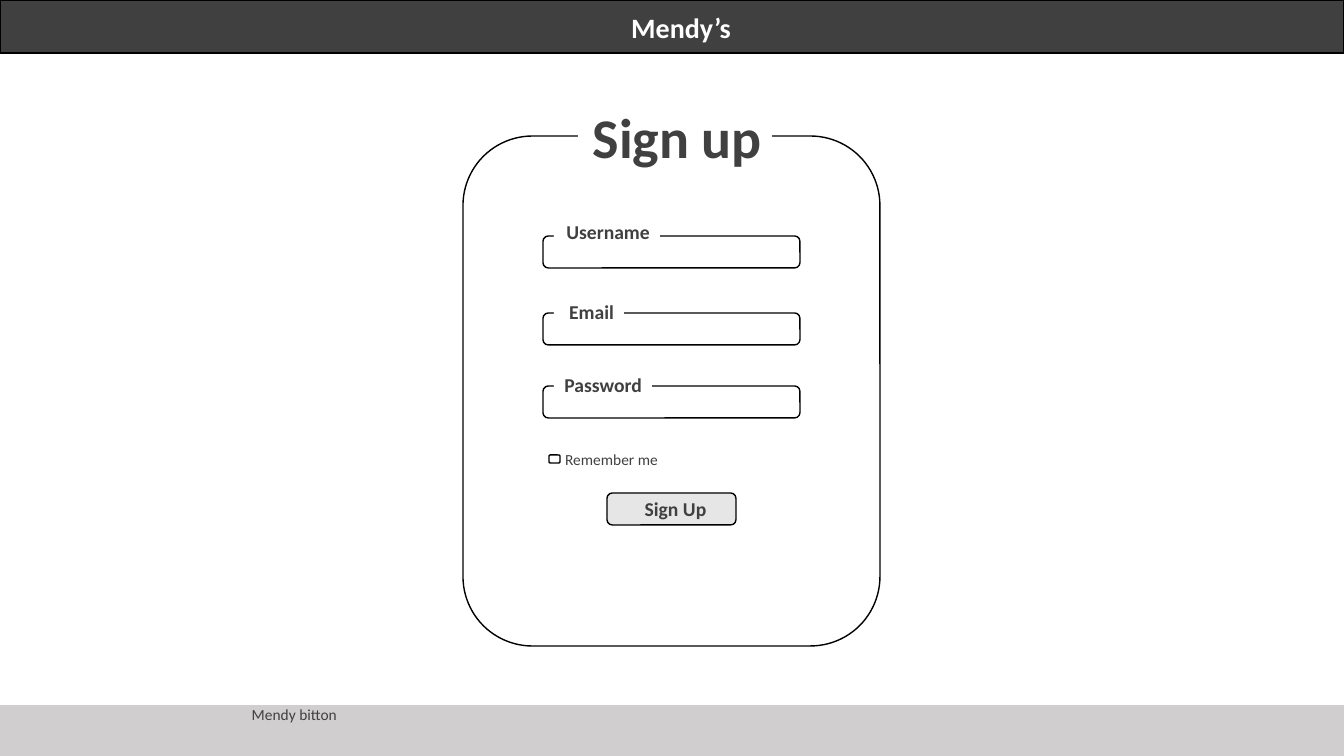
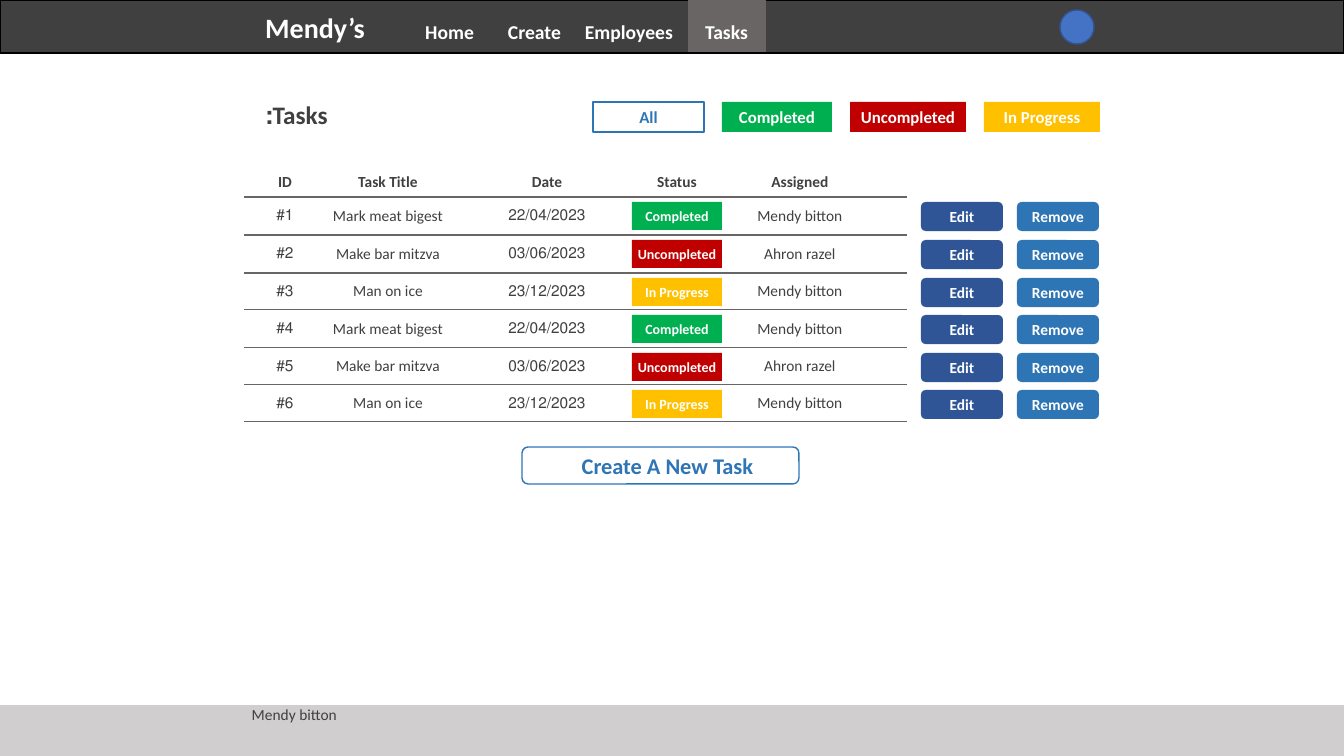
from typing import NamedTuple

from lxml.etree import SubElement
from pptx import Presentation
from pptx.dml.color import RGBColor
from pptx.enum.shapes import MSO_SHAPE
from pptx.enum.text import MSO_ANCHOR, MSO_AUTO_SIZE, PP_ALIGN
from pptx.oxml.ns import qn
from pptx.util import Emu, Pt

SCALE = 914400 / 100.8
FONT = "Calibri"
WHITE = RGBColor(0xFF, 0xFF, 0xFF)
BLACK = RGBColor(0x00, 0x00, 0x00)
CHARCOAL = RGBColor(0x40, 0x40, 0x40)
WARM_GREY = RGBColor(0x69, 0x65, 0x65)
FOOTER_GREY = RGBColor(0xD0, 0xCE, 0xCE)
BUTTON_GREY = RGBColor(0xE7, 0xE6, 0xE6)
BLUE = RGBColor(0x2E, 0x75, 0xB6)
DARK_BLUE = RGBColor(0x2F, 0x55, 0x97)
AVATAR_BLUE = RGBColor(0x44, 0x72, 0xC4)
AVATAR_EDGE = RGBColor(0x32, 0x54, 0x91)
GREEN = RGBColor(0x00, 0xB0, 0x50)
RED = RGBColor(0xC0, 0x00, 0x00)
AMBER = RGBColor(0xFF, 0xC0, 0x00)

STATUS_COLORS = {"Completed": GREEN, "Uncompleted": RED, "In Progress": AMBER}
BRAND = {"size": Pt(20), "color": WHITE, "bold": True}
NAVIGATION = {"size": Pt(14), "color": WHITE, "bold": True}
FORM_TITLE = {"size": Pt(40), "color": CHARCOAL, "bold": True}
FORM_LABEL = {"size": Pt(14), "color": CHARCOAL, "bold": True}
LIST_TITLE = {"size": Pt(18), "color": CHARCOAL, "bold": True}
BODY = {"size": Pt(11), "color": CHARCOAL, "bold": False}
COLUMN_HEAD = {"size": Pt(11), "color": CHARCOAL, "bold": True}
ACTION = {"size": Pt(11), "color": WHITE, "bold": True}
BADGE = {"size": Pt(10), "color": WHITE, "bold": True}
FILTER = {"size": Pt(12), "color": WHITE, "bold": True}
CREATE = {"size": Pt(16), "color": BLUE, "bold": True}

FIELDS = [("Username", 100, -21, 106), ("Email", 177, -18, 70), ("Password", 250, -18, 98)]
MENU = [("Home", 413, 71), ("Create", 492, 79), ("Employees", 567, 116), ("Tasks", 665, 93)]
FILTERS = [("All", 111), ("Completed", 110), ("Uncompleted", 116), ("In Progress", 116)]
COLUMNS = [("ID", 82, 0, 0), ("Task Title", 124, 0, 0), ("Date", 182, 12, 0),
           ("Status", 90, 0, 0), ("Assigned", 185, 0, 29)]
TASKS = [("Mark meat bigest", "22/04/2023", "Completed", "Mendy bitton"),
         ("Make bar mitzva", "03/06/2023", "Uncompleted", "Ahron razel"),
         ("Man on ice", "23/12/2023", "In Progress", "Mendy bitton")] * 2
ROW_HEIGHTS = [30, 38, 38, 37, 38, 37, 37]
STATUS_COLUMN = 3


class Box(NamedTuple):
    """Area in pixels."""
    left: int
    top: int
    width: int
    height: int

    def inside(self, left, top, width, height):
        """Return a box whose corner is measured from this one."""
        return Box(self.left + left, self.top + top, width, height)

    def lengths(self):
        """Return the four lengths in EMU."""
        return [pixels(value) for value in self]


HEADER = Box(0, 0, 1344, 53)
FOOTER = Box(0, 705, 1344, 51)


def pixels(value):
    """Turn pixels into EMU."""
    return Emu(round(value * SCALE))


def write(frame, text, style, align=PP_ALIGN.CENTER):
    """Write one right-to-left paragraph in the given style."""
    para = frame.paragraphs[0]
    para.alignment = align
    para._p.get_or_add_pPr().set("rtl", "1")
    span = para.add_run()
    span.text = text
    span.font.name = FONT
    span.font.color.rgb = style["color"]
    for name in ("size", "bold"):
        setattr(span.font, name, style[name])


def set_frame(frame, left=0, right=0):
    """Centre a text frame vertically with the given side margins."""
    settings = {"word_wrap": True, "auto_size": MSO_AUTO_SIZE.NONE,
                "vertical_anchor": MSO_ANCHOR.MIDDLE,
                "margin_left": pixels(left), "margin_right": pixels(right),
                "margin_top": 0, "margin_bottom": 0}
    for name, value in settings.items():
        setattr(frame, name, value)


def add_label(page, box, text, style, align=PP_ALIGN.RIGHT):
    """Add a text box."""
    label = page.shapes.add_textbox(*box.lengths())
    set_frame(label.text_frame, right=10)
    write(label.text_frame, text, style, align)
    return label


def add_panel(page, box, fill=None, line=None, kind=MSO_SHAPE.RECTANGLE,
              text=None, style=None, shift=0):
    """Add a flat shape, with centred text if there is any."""
    panel = page.shapes.add_shape(kind, *box.lengths())
    panel.shadow.inherit = False
    if fill is None:
        panel.fill.background()
    else:
        panel.fill.solid()
        panel.fill.fore_color.rgb = fill
    if line is None:
        panel.line.fill.background()
    else:
        panel.line.color.rgb = line
        panel.line.width = Pt(1)
    if text:
        set_frame(panel.text_frame, left=shift)
        write(panel.text_frame, text, style)
    return panel


def place_title(page, box, text, style, align, right=0):
    """Move and format the title, in front of what is already drawn."""
    title = page.shapes.title
    for name, value in zip(("left", "top", "width", "height"), box.lengths()):
        setattr(title, name, value)
    title.fill.solid()
    title.fill.fore_color.rgb = WHITE
    set_frame(title.text_frame, right=right)
    write(title.text_frame, text, style, align)
    page.shapes.element.append(title.element)


def draw_header(page, box, brand_left):
    """Draw the top band with the site name."""
    add_panel(page, box, CHARCOAL, BLACK)
    add_label(page, box.inside(brand_left, 4, 202, 46), "Mendy’s", BRAND)


def draw_footer(page, box):
    """Draw the bottom band with the author."""
    add_panel(page, box, FOOTER_GREY)
    add_label(page, box.inside(237, -5, 110, 29), "Mendy bitton", BODY)


def draw_menu(page, box):
    """Draw the navigation entries, the active tab and the avatar."""
    add_panel(page, box.inside(688, 0, 78, 52), WARM_GREY)
    for text, left, width in MENU:
        add_label(page, box.inside(left, 15, width, 34), text, NAVIGATION)
    add_panel(page, box.inside(1060, 10, 34, 34), AVATAR_BLUE, AVATAR_EDGE, MSO_SHAPE.OVAL)


def draw_form(page, box):
    """Draw the sign-up card with its fields and button."""
    rounded = MSO_SHAPE.ROUNDED_RECTANGLE
    add_panel(page, box, None, BLACK, rounded)
    place_title(page, box.inside(115, -39, 194, 78), "Sign up", FORM_TITLE, PP_ALIGN.RIGHT, 10)
    for text, top, rise, width in FIELDS:
        field = box.inside(80, top, 257, 32)
        add_panel(page, field, None, BLACK, rounded)
        label = add_label(page, field.inside(11, rise, width, 34), text, FORM_LABEL)
        label.fill.solid()
        label.fill.fore_color.rgb = WHITE
    add_panel(page, box.inside(86, 319, 11, 8), None, BLACK, rounded)
    add_label(page, box.inside(91, 309, 114, 29), "Remember me", BODY)
    add_panel(page, box.inside(144, 357, 129, 32), BUTTON_GREY, BLACK, rounded,
              "Sign Up", FORM_LABEL, shift=8)


def draw_filters(page, box):
    """Draw the status filters from left to right."""
    left = 0
    for text, width in FILTERS:
        place = box.inside(left, 0, width, box.height)
        if text in STATUS_COLORS:
            add_panel(page, place, STATUS_COLORS[text], text=text, style=FILTER)
        else:
            add_panel(page, place, WHITE, BLUE, text=text, style={**FILTER, "color": BLUE})
        left += width + 18


def set_borders(cell, ruled):
    """Rule the named edges of a cell and clear the others."""
    properties = cell._tc.get_or_add_tcPr()
    for edge in ("lnL", "lnR", "lnT", "lnB"):
        border = SubElement(properties, qn(f"a:{edge}"), w=str(Pt(1)))
        if edge in ruled:
            fill = SubElement(border, qn("a:solidFill"))
            SubElement(fill, qn("a:srgbClr"), val=str(WARM_GREY))
        else:
            SubElement(border, qn("a:noFill"))


def draw_tasks(page, box):
    """Draw the task table with the badges and buttons of each row."""
    rows = [[head[0] for head in COLUMNS]]
    rows += [(f"#{number}", *task) for number, task in enumerate(TASKS, 1)]
    table = page.shapes.add_table(len(rows), len(COLUMNS), *box.lengths()).table
    table.first_row = table.horz_banding = False
    for column, (_, width, _, _) in zip(table.columns, COLUMNS):
        column.width = pixels(width)
    top = 0
    for index, (values, height) in enumerate(zip(rows, ROW_HEIGHTS)):
        table.rows[index].height = pixels(height)
        for position, (text, column) in enumerate(zip(values, COLUMNS)):
            cell = table.cell(index, position)
            settings = {"margin_left": pixels(column[2]), "margin_right": pixels(column[3]),
                        "margin_top": 0, "margin_bottom": 0,
                        "vertical_anchor": MSO_ANCHOR.MIDDLE}
            for name, value in settings.items():
                setattr(cell, name, value)
            set_borders(cell, ("lnT", "lnB") if index else ("lnB",))
            cell.fill.background()
            if index == 0 or position != STATUS_COLUMN:
                write(cell.text_frame, text, BODY if index else COLUMN_HEAD)
        if index:
            draw_row_controls(page, box.inside(0, top + 5, box.width, 29), values[STATUS_COLUMN])
        top += height


def draw_row_controls(page, box, status):
    """Draw the status badge and the two buttons of a task."""
    add_panel(page, box.inside(388, 0, 90, 28), STATUS_COLORS[status], text=status, style=BADGE)
    for text, left, fill in (("Edit", 677, DARK_BLUE), ("Remove", 773, BLUE)):
        add_panel(page, box.inside(left, 0, 82, box.height), fill, None,
                  MSO_SHAPE.ROUNDED_RECTANGLE, text, ACTION)


def build_sign_up(page):
    """Build the sign-up page."""
    draw_header(page, HEADER, 539)
    draw_form(page, Box(463, 136, 417, 510))
    draw_footer(page, FOOTER)


def build_task_list(page):
    """Build the task list page."""
    draw_header(page, HEADER, 173)
    draw_menu(page, HEADER)
    place_title(page, Box(220, 94, 154, 40), "Tasks:", LIST_TITLE, PP_ALIGN.CENTER)
    draw_filters(page, Box(593, 102, 507, 30))
    draw_tasks(page, Box(244, 167, 663, sum(ROW_HEIGHTS)))
    add_panel(page, Box(522, 447, 277, 37), WHITE, BLUE, MSO_SHAPE.ROUNDED_RECTANGLE,
              "Create A New Task", CREATE, shift=14)
    draw_footer(page, FOOTER)


def main():
    """Build and save the deck."""
    deck = Presentation()
    deck.slide_width, deck.slide_height = pixels(1344), pixels(756)
    for build in (build_sign_up, build_task_list):
        build(deck.slides.add_slide(deck.slide_layouts[5]))
    deck.save("out.pptx")


main()
